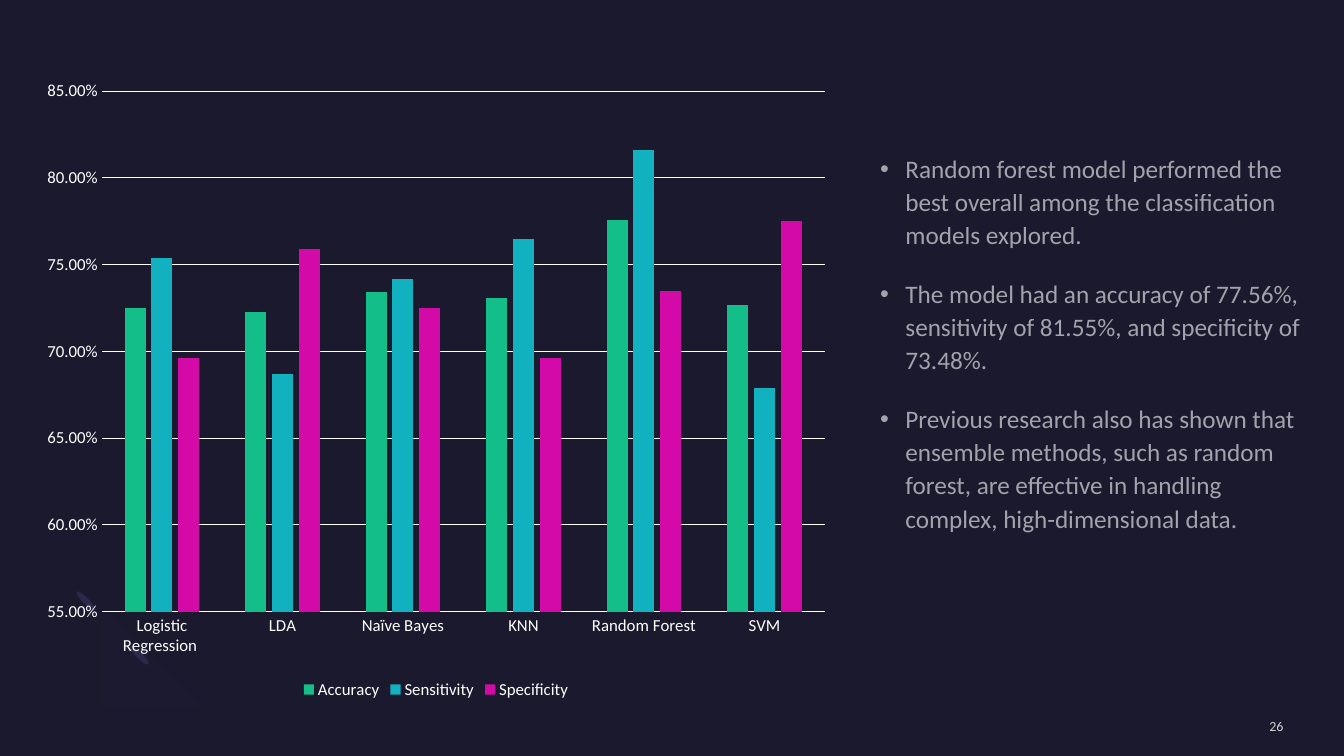
"""Build a slide comparing classification models in a column chart with notes."""
from lxml.etree import SubElement as Sub
from pptx import Presentation
from pptx.chart.data import CategoryChartData
from pptx.dml.color import RGBColor
from pptx.enum.chart import XL_CHART_TYPE as Kind, XL_LEGEND_POSITION as Spot, XL_TICK_MARK as Tick
from pptx.enum.shapes import MSO_SHAPE as Shape
from pptx.enum.text import MSO_ANCHOR as Anchor, MSO_AUTO_SIZE as Fit, PP_ALIGN as Align
from pptx.oxml.ns import qn
from pptx.util import Inches, Pt

WHITE = RGBColor(0xFF, 0xFF, 0xFF)
NIGHT = RGBColor(0x1B, 0x19, 0x2E)
DUSK = RGBColor(0x2C, 0x28, 0x4A)
LILAC = RGBColor(0x77, 0x71, 0xB2)
GREEN = RGBColor(0x13, 0xBE, 0x89)
TEAL = RGBColor(0x12, 0xB1, 0xBF)
PINK = RGBColor(0xD4, 0x0A, 0xA8)
FONT = "Calibri"

MODELS = ["Logistic Regression ", "LDA", "Naïve Bayes", "KNN", "Random Forest", "SVM"]
SCORES = [
    ("Accuracy", GREEN, (0.725, 0.723, 0.734, 0.731, 0.776, 0.727)),
    ("Sensitivity", TEAL, (0.754, 0.687, 0.742, 0.765, 0.816, 0.679)),
    ("Specificity", PINK, (0.696, 0.759, 0.725, 0.696, 0.735, 0.775)),
]
POINTS = [
    "Random forest model performed the best overall among the classification models explored.",
    "The model had an accuracy of 77.56%, sensitivity of 81.55%, and specificity of 73.48%.",
    "Previous research also has shown that ensemble methods, such as random forest, "
    "are effective in handling complex, high-dimensional data.",
]
PAGE = "26"
TIPS = [(1.35, 6.37), (0.82, 5.83)]
ARC = [
    [(0.76, 6.59), (0.56, 6.39), (0.58, 6.05), (0.81, 5.82)],
    [(0.99, 6), (0.87, 6.11), (0.86, 6.29), (0.96, 6.38)],
    [(0.96, 6.38), (1.06, 6.48), (1.23, 6.47), (1.35, 6.36)],
    [(1.52, 6.54), (1.3, 6.76), (0.95, 6.79), (0.76, 6.59)],
]


def box(*sizes):
    return [Inches(size) for size in sizes]


def fade(item, share):
    for color in item.iter(qn("a:srgbClr")):
        Sub(color, qn("a:alpha"), val=str(share * 1000))


def style(font, size):
    font.name, font.size = FONT, Pt(size)
    font.color.rgb = WHITE


def paint(shape, color):
    shape.shadow.inherit = False
    shape.fill.solid()
    shape.fill.fore_color.rgb = color
    shape.line.fill.background()


def curve(knots, steps=10):
    for step in range(steps + 1):
        t = step / steps
        parts = ((1 - t) ** 3, 3 * t * (1 - t) ** 2, 3 * t * t * (1 - t), t ** 3)
        yield tuple(sum(part * knot[side] for part, knot in zip(parts, knots)) for side in (0, 1))


def add_ring(slide):
    for left, top in TIPS:
        tip = slide.shapes.add_shape(Shape.OVAL, *box(left, top, 0.06, 0.26))
        tip.rotation = 135
        paint(tip, DUSK)
    dots = [dot for knots in ARC for dot in curve(knots)]
    path = slide.shapes.build_freeform(*dots[0], scale=Inches(1))
    path.add_line_segments(dots[1:], close=True)
    ring = path.convert_to_shape()
    paint(ring, LILAC)
    fade(ring.fill._xPr, 2)


def add_scores(slide):
    data = CategoryChartData(number_format="0.00%")
    data.categories = MODELS
    for name, _, values in SCORES:
        data.add_series(name, values)
    frame = slide.shapes.add_chart(Kind.COLUMN_CLUSTERED, *box(0.31, 0.68, 8.03, 6.3), data)
    chart = frame.chart
    style(chart.font, 12)
    chart.has_title = False
    chart.has_legend = True
    chart.legend.position = Spot.BOTTOM
    chart.legend.include_in_layout = False
    style(chart.legend.font, 12)
    plot = chart.plots[0]
    plot.gap_width, plot.overlap, plot.vary_by_categories = 219, -27, False
    for series, (_, color, _) in zip(plot.series, SCORES):
        series.invert_if_negative = False
        series.format.fill.solid()
        series.format.fill.fore_color.rgb = color
    base, scale = chart.category_axis, chart.value_axis
    for axis in (base, scale):
        axis.major_tick_mark = axis.minor_tick_mark = Tick.NONE
        style(axis.tick_labels.font, 12)
    scale.minimum_scale, scale.maximum_scale, scale.major_unit = 0.55, 0.85, 0.05
    scale.tick_labels.number_format = "0.00%"
    scale.tick_labels.number_format_is_linked = False
    scale.format.line.fill.background()
    for line in (base.format.line, scale.major_gridlines.format.line):
        line.color.rgb, line.width = WHITE, Pt(0.75)


def add_points(slide):
    body = slide.placeholders[1]
    body.left, body.top, body.width, body.height = box(8.63, 1.44, 4.49, 5.24)
    text = body.text_frame
    text.text = "\n".join(POINTS)
    text.word_wrap, text.auto_size = True, Fit.NONE
    text.vertical_anchor = Anchor.TOP
    for para in text.paragraphs:
        para.line_spacing = 1.1
        para.space_before, para.space_after = Pt(10), Pt(8)
        props = para._p.get_or_add_pPr()
        props.set("marL", str(Inches(0.25)))
        props.set("indent", str(-Inches(0.25)))
        Sub(props, qn("a:buFont"), typeface="Arial")
        Sub(props, qn("a:buChar"), char="•")
        style(para.runs[0].font, 18)
        fade(para._p, 60)


def add_page(slide):
    text = slide.shapes.add_textbox(*box(10.88, 7.12, 1.85, 0.17)).text_frame
    text.margin_left = text.margin_right = text.margin_top = text.margin_bottom = 0
    text.word_wrap, text.vertical_anchor = True, Anchor.MIDDLE
    para = text.paragraphs[0]
    para.text, para.alignment = PAGE, Align.RIGHT
    style(para.runs[0].font, 10)
    fade(para._p, 80)


def main():
    deck = Presentation()
    deck.slide_width, deck.slide_height = box(13.33, 7.5)
    slide = deck.slides.add_slide(deck.slide_layouts[1])
    slide.background.fill.solid()
    slide.background.fill.fore_color.rgb = NIGHT
    title = slide.shapes.title.element
    title.getparent().remove(title)
    add_ring(slide)
    add_page(slide)
    add_scores(slide)
    add_points(slide)
    deck.save("out.pptx")


if __name__ == "__main__":
    main()
